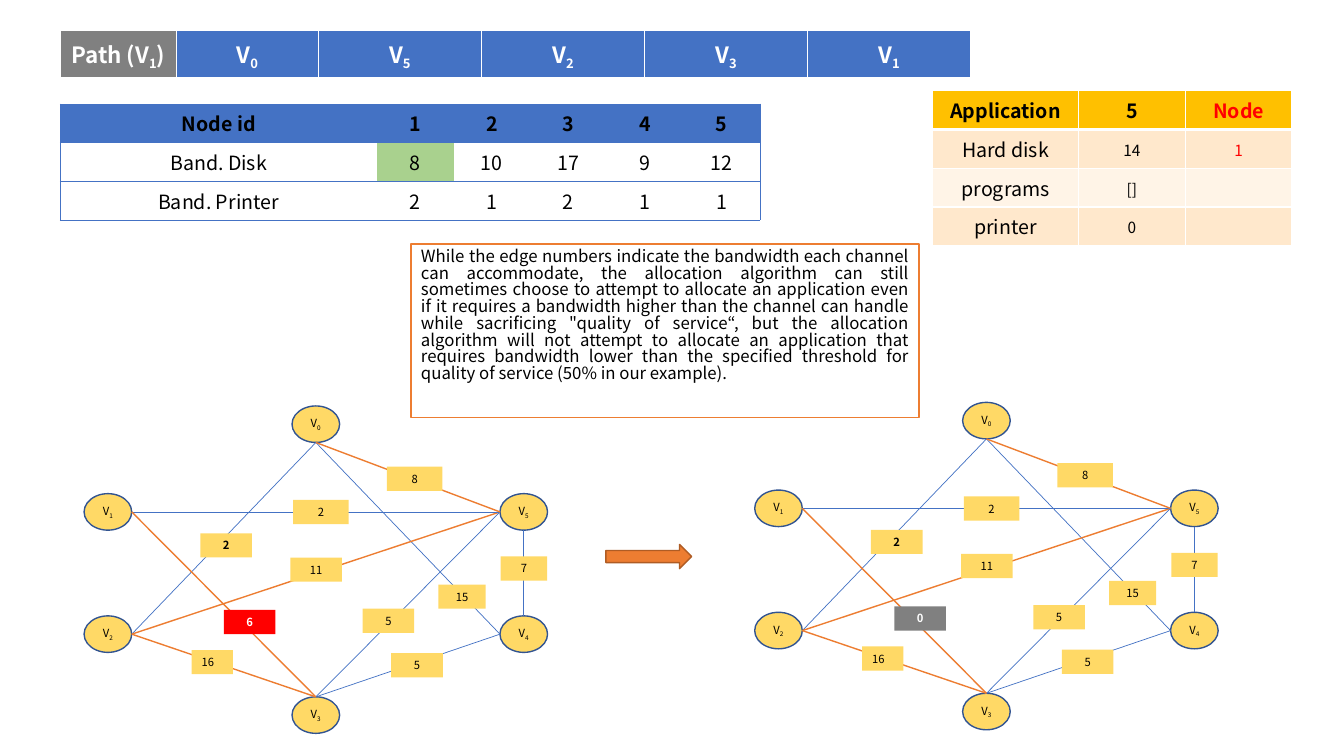
from dataclasses import dataclass
from lxml.etree import SubElement
from pptx import Presentation
from pptx.dml.color import RGBColor as Rgb
from pptx.enum.shapes import MSO_CONNECTOR as Link, MSO_SHAPE as Kind
from pptx.enum.text import MSO_ANCHOR as Anchor, PP_ALIGN as Align
from pptx.oxml.ns import qn
from pptx.util import Cm, Pt


@dataclass(frozen=True)
class Theme:
    font: str = "Noto Sans CJK JP"
    black: str = "000000"
    white: str = "FFFFFF"
    red: str = "FF0000"
    gray: str = "808080"
    blue: str = "4472C4"
    navy: str = "325491"
    orange: str = "ED7D31"
    brown: str = "AF5C24"
    yellow: str = "FFD966"
    gold: str = "FFC000"
    peach: str = "FFE8CC"
    cream: str = "FFF4E7"
    green: str = "A9D18E"
    title: int = 16
    head: int = 14
    body: int = 12
    small: int = 11
    tiny: int = 8


class Board:
    def __init__(self, slide, theme):
        self.slide = slide
        self.theme = theme

    def words(self, frame, text, size, color=None, bold=False, align=Align.CENTER):
        par = frame.paragraphs[0]
        par.alignment = align
        head, _, rest = text.partition("_")
        for piece, sub in ((head, False), (rest[:1], True), (rest[1:], False)):
            if not piece:
                continue
            run = par.add_run()
            run.text = piece
            font = run.font
            font.name, font.size, font.bold = self.theme.font, Pt(size), bold
            font.color.rgb = Rgb.from_string(color or self.theme.black)
            if sub:
                run._r.get_or_add_rPr().set("baseline", "-25000")
        return par

    def shape(self, kind, left, top, width, height, fill, edge=None):
        item = self.slide.shapes.add_shape(kind, Cm(left), Cm(top), Cm(width), Cm(height))
        item.shadow.inherit = False
        item.fill.solid()
        item.fill.fore_color.rgb = Rgb.from_string(fill)
        if edge:
            item.line.color.rgb = Rgb.from_string(edge)
            item.line.width = Pt(1)
        else:
            item.line.fill.background()
        return item

    def node(self, name, x, y, width, height):
        item = self.shape(Kind.OVAL, x - width / 2, y - height / 2, width, height,
                          self.theme.yellow, self.theme.navy)
        frame = item.text_frame
        frame.word_wrap = False
        frame.vertical_anchor = Anchor.MIDDLE
        self.words(frame, name, self.theme.tiny)

    def label(self, text, left, top, width, fill=None, color=None, bold=False, align=Align.CENTER):
        item = self.shape(Kind.RECTANGLE, left, top, width, 0.61, fill or self.theme.yellow)
        item.text_frame.vertical_anchor = Anchor.MIDDLE
        self.words(item.text_frame, text, self.theme.tiny, color, bold, align)

    def note(self, text, left, top, width, height):
        item = self.shape(Kind.RECTANGLE, left, top, width, height,
                          self.theme.white, self.theme.orange)
        frame = item.text_frame
        frame.word_wrap = True
        frame.vertical_anchor = Anchor.TOP
        self.words(frame, text, self.theme.body, align=Align.JUSTIFY).line_spacing = 0.83

    def edge(self, start, end, strong):
        line = self.slide.shapes.add_connector(Link.STRAIGHT, *map(Cm, start + end))
        line.line.color.rgb = Rgb.from_string(self.theme.orange if strong else self.theme.blue)
        line.line.width = Pt(1 if strong else 0.5)
        SubElement(line._element.spPr, qn("a:effectLst"))

    def table(self, left, top, cols, height, count):
        item = self.slide.shapes.add_table(count, len(cols), Cm(left), Cm(top),
                                           Cm(sum(cols)), Cm(height * count))
        grid = item.table
        grid.first_row = grid.horz_banding = False
        for col, width in zip(grid.columns, cols):
            col.width = Cm(width)
        for row in grid.rows:
            row.height = Cm(height)
        return grid

    def cell(self, cell, text, size, fill, rules, color=None, bold=False,
             tight=False, anchor=Anchor.MIDDLE):
        prop = cell._tc.get_or_add_tcPr()
        for side, (tone, width) in zip("LRTB", rules):
            line = SubElement(prop, qn(f"a:ln{side}"), w=str(Pt(width)))
            if width:
                paint = SubElement(line, qn("a:solidFill"))
                SubElement(paint, qn("a:srgbClr"), val=tone)
            else:
                SubElement(line, qn("a:noFill"))
        if fill:
            cell.fill.solid()
            cell.fill.fore_color.rgb = Rgb.from_string(fill)
        else:
            cell.fill.background()
        if tight:
            cell.margin_left = cell.margin_right = cell.margin_top = Cm(0.03)
            cell.margin_bottom = Cm(0)
        cell.vertical_anchor = anchor
        self.words(cell.text_frame, text, size, color, bold)

    def graph(self, dx, dy, load, tone):
        wide, high = 1.2, 0.92
        spots = {name: (x + dx, y + dy) for name, (x, y) in NODES.items()}
        for name, (x, y) in spots.items():
            self.node(name, x, y, wide, high)
        shift = {"top": (0, -high / 2), "left": (-wide / 2, 0),
                 "bottom": (0, high / 2), "right": (wide / 2, 0)}

        def port(name, side):
            return tuple(a + b for a, b in zip(spots[name], shift[side]))

        for first, out, last, into, strong in EDGES:
            self.edge(port(first, out), port(last, into), strong)
        for text, left, top, width, bold, align in LABELS:
            self.label(text, left + dx, top + dy, width, bold=bold, align=align)
        self.label(load, 5.64 + dx, 15.37 + dy, 1.3, tone, self.theme.white, True)


NODES = {"V_0": (7.96, 10.69), "V_1": (2.72, 12.9), "V_2": (2.72, 15.98),
         "V_3": (7.96, 18.02), "V_5": (13.2, 12.9), "V_4": (13.2, 15.98)}
EDGES = [
    ("V_0", "bottom", "V_2", "right", False),
    ("V_0", "bottom", "V_4", "left", False),
    ("V_5", "left", "V_2", "right", True),
    ("V_3", "top", "V_2", "right", True),
    ("V_3", "top", "V_4", "left", False),
    ("V_3", "top", "V_5", "left", False),
    ("V_4", "top", "V_5", "bottom", False),
    ("V_1", "right", "V_5", "left", False),
    ("V_1", "right", "V_3", "top", True),
    ("V_0", "bottom", "V_5", "left", True),
]
LABELS = [
    ("16", 4.83, 16.38, 1.04, False, Align.LEFT),
    ("11", 7.32, 14.05, 1.3, False, Align.CENTER),
    ("2", 5.05, 13.44, 1.3, True, Align.CENTER),
    ("2", 7.39, 12.6, 1.4, False, Align.CENTER),
    ("7", 12.62, 14.02, 1.17, False, Align.CENTER),
    ("15", 11.05, 14.73, 1.19, False, Align.CENTER),
    ("5", 9.14, 15.34, 1.3, False, Align.CENTER),
    ("5", 9.86, 16.46, 1.3, False, Align.CENTER),
    ("8", 9.75, 11.76, 1.4, False, Align.CENTER),
]
APPS = [("Application", "5", "Node"), ("Hard disk", "14", "1"),
        ("programs", "[]", ""), ("printer", "0", "")]
ROUTE = ["Path (V_1)", "V_0", "V_5", "V_2", "V_3", "V_1"]
BANDS = [("Node id", "1", "2", "3", "4", "5"),
         ("Band. Disk", "8", "10", "17", "9", "12"),
         ("Band. Printer", "2", "1", "2", "1", "1")]
NOTE = ("While the edge numbers indicate the bandwidth each channel can accommodate, "
        "the allocation algorithm can still sometimes choose to attempt to allocate an "
        "application even if it requires a bandwidth higher than the channel can handle "
        "while sacrificing \"quality of service“, but the allocation algorithm will not "
        "attempt to allocate an application that requires bandwidth lower than the "
        "specified threshold for quality of service (50% in our example).")


def main():
    deck = Presentation()
    deck.slide_width, deck.slide_height = Cm(33.87), Cm(19.05)
    theme = Theme()
    board = Board(deck.slides.add_slide(deck.slide_layouts[6]), theme)
    thin, thick = (theme.white, 1), (theme.white, 3)
    rule, none = (theme.blue, 0.5), (theme.blue, 0)

    apps = board.table(23.5, 2.29, [3.68, 2.69, 2.69], 0.91, len(APPS))
    fills = [theme.gold, theme.peach, theme.cream, theme.peach]
    for r, row in enumerate(APPS):
        rules = (thin, thin, thick if r == 1 else thin, thick if r == 0 else thin)
        for c, text in enumerate(row):
            tight = r > 0 and c > 0
            board.cell(apps.cell(r, c), text, theme.small if tight else theme.head, fills[r],
                       rules, theme.red if c == 2 else theme.black, r == 0, tight)

    route = board.table(1.52, 0.76, [2.92, 3.58] + [4.11] * 4, 1.22, 1)
    for c, text in enumerate(ROUTE):
        board.cell(route.cell(0, c), text, theme.title, theme.blue if c else theme.gray,
                   (thin, thin, thin, thick), theme.white, True, True)

    bands = board.table(1.52, 2.62, [7.98] + [1.93] * 5, 0.93, len(BANDS))
    for r, row in enumerate(BANDS):
        for c, text in enumerate(row):
            fill = theme.blue if r == 0 else theme.green if (r, c) == (1, 1) else None
            rules = (none if c else rule, rule if c == len(row) - 1 else none, rule, rule)
            board.cell(bands.cell(r, c), text, theme.head, fill, rules,
                       bold=r == 0, anchor=Anchor.TOP)

    board.graph(0, 0, "6", theme.red)
    board.note(NOTE, 10.36, 6.15, 12.8, 4.37)
    board.graph(16.9, -0.09, "0", theme.gray)
    board.shape(Kind.RIGHT_ARROW, 15.27, 13.72, 2.16, 0.61, theme.orange, theme.brown)
    deck.save("out.pptx")


if __name__ == "__main__":
    main()
